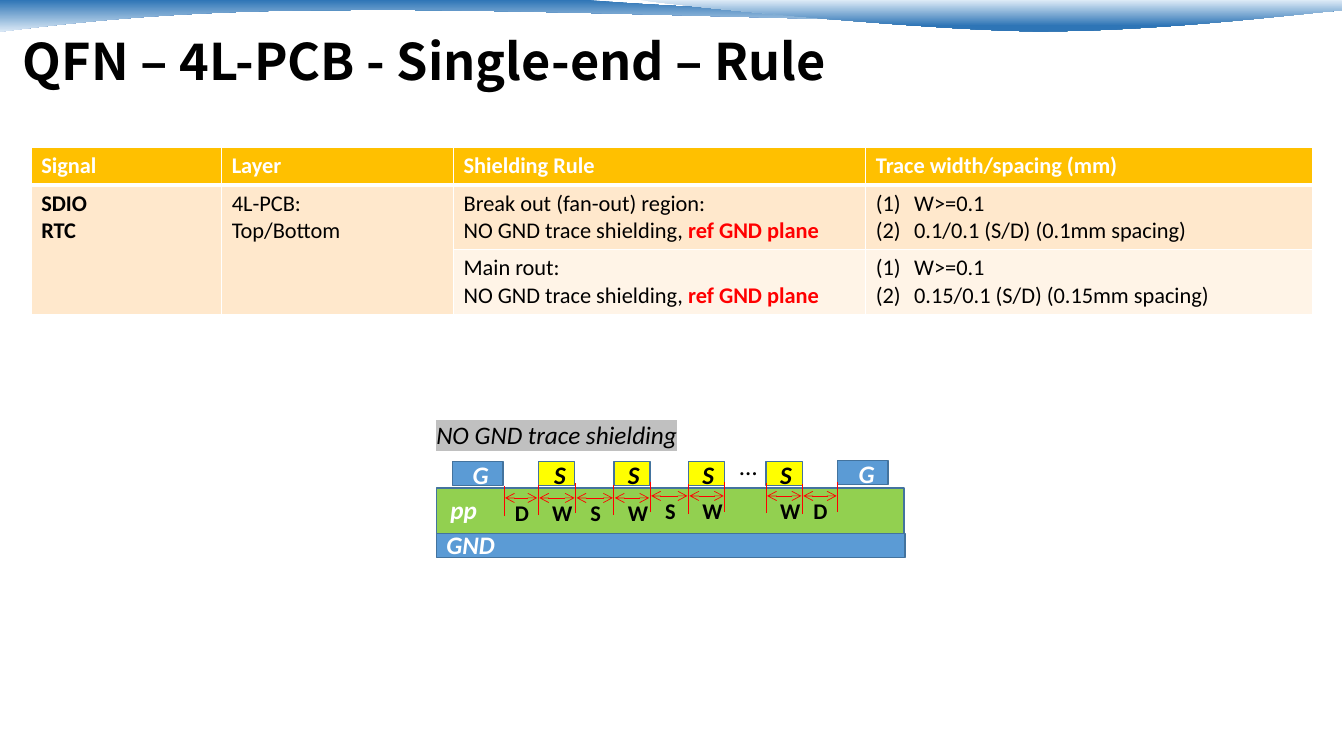
from itertools import pairwise

from lxml.etree import SubElement
from pptx import Presentation
from pptx.dml.color import RGBColor
from pptx.enum.shapes import MSO_CONNECTOR, MSO_SHAPE
from pptx.enum.text import MSO_ANCHOR, MSO_AUTO_SIZE
from pptx.oxml import parse_xml
from pptx.oxml.ns import nsdecls, qn
from pptx.util import Pt

PX = 9144  # EMU per px, 100 px to the inch
COLORS = {
    "black": "000000", "white": "FFFFFF", "red": "FF0000", "yellow": "FFFF00",
    "green": "92D050", "blue": "5B9BD5", "edge": "43739E", "gray": "C0C0C0",
    "wave": "2E75B6", "mist": "DEEBF7",
    "gold": "FFC000", "peach": "FFE8CC", "cream": "FFF4E7",
}


def rgb(name):
    return RGBColor.from_string(COLORS[name])


def write(p, text, size=16, color="black", bold=False, italic=False,
          font="Calibri", highlight=None):
    for i, line in enumerate(text.split("\n")):
        if i:
            p.add_line_break()
            SubElement(p._p[-1], qn("a:rPr"), sz=str(size * 100))
        r = p.add_run()
        r.text = line
        r.font.size, r.font.name = Pt(size), font
        r.font.bold, r.font.italic = bold, italic
        r.font.color.rgb = rgb(color)
        if highlight:
            r.font.fill._xPr.find(qn("a:solidFill")).addnext(parse_xml(
                f'<a:highlight {nsdecls("a")}><a:srgbClr val="{COLORS[highlight]}"/></a:highlight>'))


class Slide:
    def __init__(self, prs):
        self.shapes = prs.slides.add_slide(prs.slide_layouts[6]).shapes

    def wave(self, start, segments, stops):
        """A segment of one point is a line, of three points a curve."""
        fb = self.shapes.build_freeform(*(v * PX for v in start), scale=1.0)
        fb.add_line_segments([(x * PX, y * PX) for seg in segments for x, y in seg], close=True)
        s = fb.convert_to_shape()
        lines = iter(list(s._element.iter(qn("a:lnTo"))))
        for seg in segments:
            steps = [next(lines) for _ in seg]
            if len(seg) == 3:
                bezier = parse_xml(f'<a:cubicBezTo {nsdecls("a")}/>')
                steps[0].addprevious(bezier)
                for step in steps:
                    bezier.append(step[0])
                    step.getparent().remove(step)
        s.shadow.inherit = False
        s.line.fill.background()
        s.fill.gradient()
        s.fill.gradient_angle = 270
        for stop, (position, color) in zip(s.fill.gradient_stops, stops):
            stop.position = position
            stop.color.rgb = rgb(color)

    def rect(self, x, y, w, h, fill):
        s = self.shapes.add_shape(MSO_SHAPE.RECTANGLE, *(v * PX for v in (x, y, w, h)))
        s.shadow.inherit = False
        s.fill.solid()
        s.fill.fore_color.rgb = rgb(fill)
        s.line.color.rgb = rgb("edge")
        s.line.width = Pt(1)

    def text(self, x, y, w, h, text, wrap=False, **fmt):
        tf = self.shapes.add_textbox(*(v * PX for v in (x, y, w, h))).text_frame
        tf.word_wrap = wrap
        tf.auto_size = MSO_AUTO_SIZE.SHAPE_TO_FIT_TEXT
        write(tf.paragraphs[0], text, **fmt)
        return tf

    def line(self, x1, y1, x2, y2, arrows=False):
        s = self.shapes.add_connector(MSO_CONNECTOR.STRAIGHT, *(v * PX for v in (x1, y1, x2, y2)))
        s.line.color.rgb = rgb("red")
        s.line.width = Pt(0.5)
        if arrows:
            for end in ("a:headEnd", "a:tailEnd"):
                SubElement(s.line._ln, qn(end), type="arrow")
        SubElement(s._element.spPr, qn("a:effectLst"))

    def table(self, x, y, widths, heights):
        t = self.shapes.add_table(len(heights), len(widths), x * PX, y * PX,
                                  sum(widths) * PX, sum(heights) * PX).table
        t.horz_banding = False
        for col, w in zip(t.columns, widths):
            col.width = w * PX
        for row, h in zip(t.rows, heights):
            row.height = h * PX
        return t

    def cell(self, cell, paragraphs, fill, top=1, bottom=1, numbered=False):
        """Each paragraph is a list of (text, format) runs."""
        tcPr = cell._tc.get_or_add_tcPr()
        for side, width in (("L", 1), ("R", 1), ("T", top), ("B", bottom)):
            tcPr.append(parse_xml(
                f'<a:ln{side} {nsdecls("a")} w="{Pt(width)}"><a:solidFill>'
                f'<a:srgbClr val="{COLORS["white"]}"/></a:solidFill></a:ln{side}>'))
        cell.fill.solid()
        cell.fill.fore_color.rgb = rgb(fill)
        tf = cell.text_frame
        for i, runs in enumerate(paragraphs):
            p = tf.add_paragraph() if i else tf.paragraphs[0]
            if numbered:
                pPr = p._p.get_or_add_pPr()
                pPr.set("marL", str(38 * PX))
                pPr.set("indent", str(-38 * PX))
                SubElement(pPr, qn("a:buFont"), typeface="+mj-lt")
                SubElement(pPr, qn("a:buAutoNum"), type="arabicParenBoth")
            for text, fmt in runs:
                write(p, text, **fmt)


def main():
    prs = Presentation()
    prs.slide_width, prs.slide_height = 4000 * PX // 3, 750 * PX
    s = Slide(prs)

    # Top waves
    s.wave((-3, 0),
           [[(584, 0)],
            [(632, 5), (882, 18), (1009, 18)], [(1135, 18), (1275, 7), (1331, 3)],
            [(1332, 10)],
            [(1309, 13), (1157, 22), (992, 22)], [(827, 21), (506, 8), (340, 10)],
            [(170, 10), (59, 24), (-4, 32)]],
           [(0, "wave"), (1, "mist")])
    s.wave((636, 0),
           [[(677, 6), (907, 29), (1022, 31)], [(1138, 32), (1279, 15), (1331, 10)],
            [(1331, 0)]],
           [(0, "mist"), (0.8, "wave")])

    # Title
    tf = s.text(13, 12, 1226, 79, "QFN – 4L-PCB - Single-end – Rule", wrap=True,
                size=36, bold=True, font="Noto Sans CJK TC")
    tf.auto_size = MSO_AUTO_SIZE.NONE
    tf.vertical_anchor = MSO_ANCHOR.BOTTOM
    tf.margin_top = tf.margin_bottom = 0
    tf.paragraphs[0].line_spacing = 0.9

    # Rule table
    t = s.table(31, 146, [189, 230, 409, 443], [36, 64, 64])
    bold, head = {"bold": True}, {"bold": True, "color": "white"}
    for c, name in enumerate(["Signal", "Layer", "Shielding Rule", "Trace width/spacing (mm)"]):
        s.cell(t.cell(0, c), [[(name, head)]], "gold", bottom=3)
    spanning = [[[("SDIO", bold)], [("RTC", bold)]], [[("4L-PCB: \nTop/Bottom", {})]]]
    for c, paragraphs in enumerate(spanning):
        t.cell(1, c).merge(t.cell(2, c))
        s.cell(t.cell(1, c), paragraphs, "peach", top=3)
        s.cell(t.cell(2, c), [], "peach")
    shielding = "NO GND trace shielding, "
    plane = ("ref GND plane", {"bold": True, "color": "red"})
    regions = [
        ([[(f"Break out (fan-out) region:\n{shielding}", {}), plane]],
         "0.1/0.1 (S/D) (0.1mm spacing)", "peach", 3),
        ([[("Main rout:", {})], [(shielding, {}), plane]],
         "0.15/0.1 (S/D) (0.15mm spacing)", "cream", 1),
    ]
    for row, (rule, spacing, fill, top) in enumerate(regions, 1):
        s.cell(t.cell(row, 2), rule, fill, top=top)
        s.cell(t.cell(row, 3), [[("W>=0.1", {})], [(spacing, {})]], fill, top=top, numbered=True)

    # Board layers
    layer = {"size": 18, "bold": True, "italic": True}
    s.rect(433, 484, 464, 51, "green")
    s.rect(433, 529, 465, 24, "blue")
    s.text(437, 485, 50, 40, "pp", color="white", **layer)
    s.text(433, 520, 68, 40, "GND", color="white", **layer)

    # Ground and signal traces
    for x, y, label_x in ((449, 458, 459), (831, 457, 842)):
        s.rect(x, y, 50, 24, "blue")
        s.text(label_x, y - 7, 36, 40, "G", color="white", **layer)
    for x, label_x in ((534, 540), (609, 613), (683, 687), (760, 764)):
        s.rect(x, 458, 36, 24, "yellow")
        s.text(label_x, 451, 32, 40, "S", **layer)

    # Edge markers, with the dimension between each pair
    edges = [(500, 482), (534, 481), (571, 479), (609, 481), (645, 478),
             (683, 480), (719, 478), (760, 479), (796, 480), (831, 478)]
    for x, y in edges:
        s.line(x, y + 30, x, y)
    label_boxes = {"D": (1, 25), "W": (4, 40), "S": (5, 30)}
    for ((x1, _), (x2, _)), label in zip(pairwise(edges), "DWSWSW…WD"):
        if label == "…":
            s.text(724, 442, 37, 40, label, size=18)
            continue
        y = 490 if x1 < 645 else 488
        dx, w = label_boxes[label]
        s.line(x1 + 1, y + 4, x2 - 1, y + 4, arrows=True)
        s.text(x1 + dx, y, w, 37, label, wrap=label == "D", bold=True)

    # Caption
    s.text(423, 411, 297, 40, "NO GND trace shielding", wrap=True,
           size=18, italic=True, highlight="gray")

    prs.save("out.pptx")


if __name__ == "__main__":
    main()
